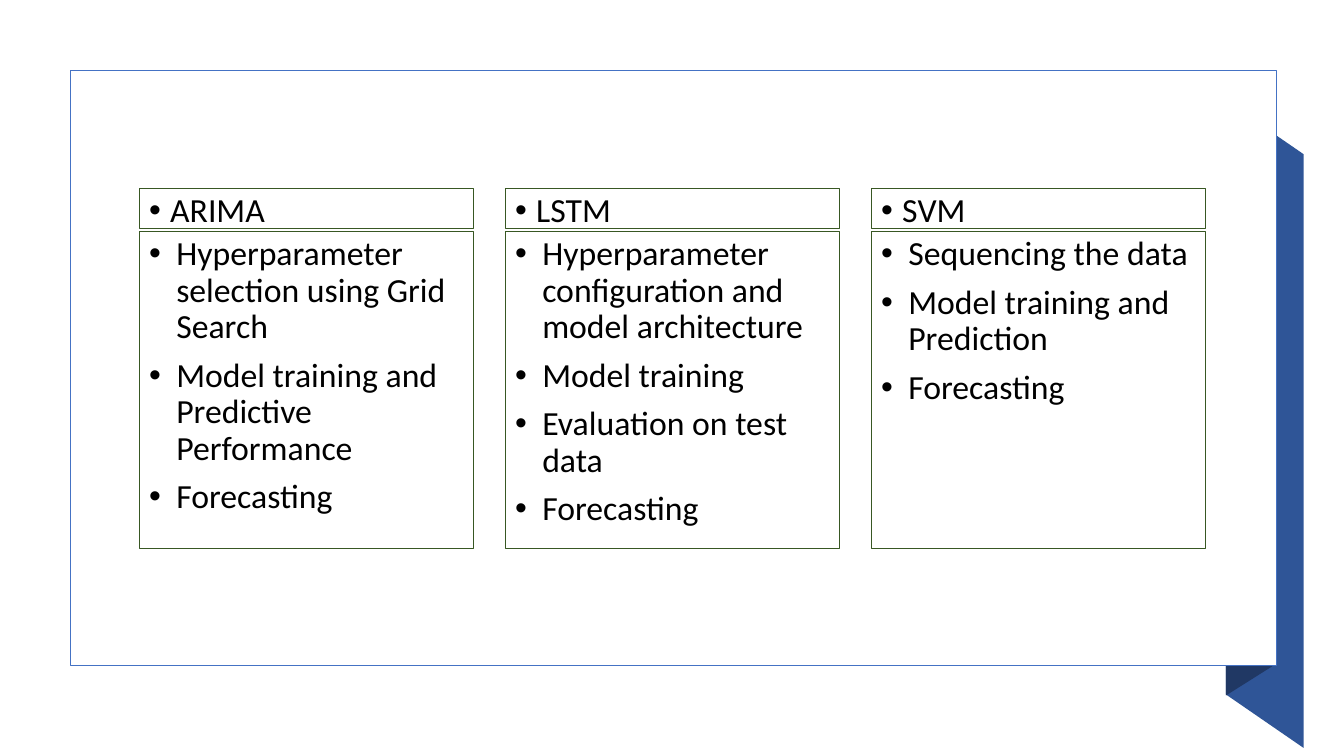
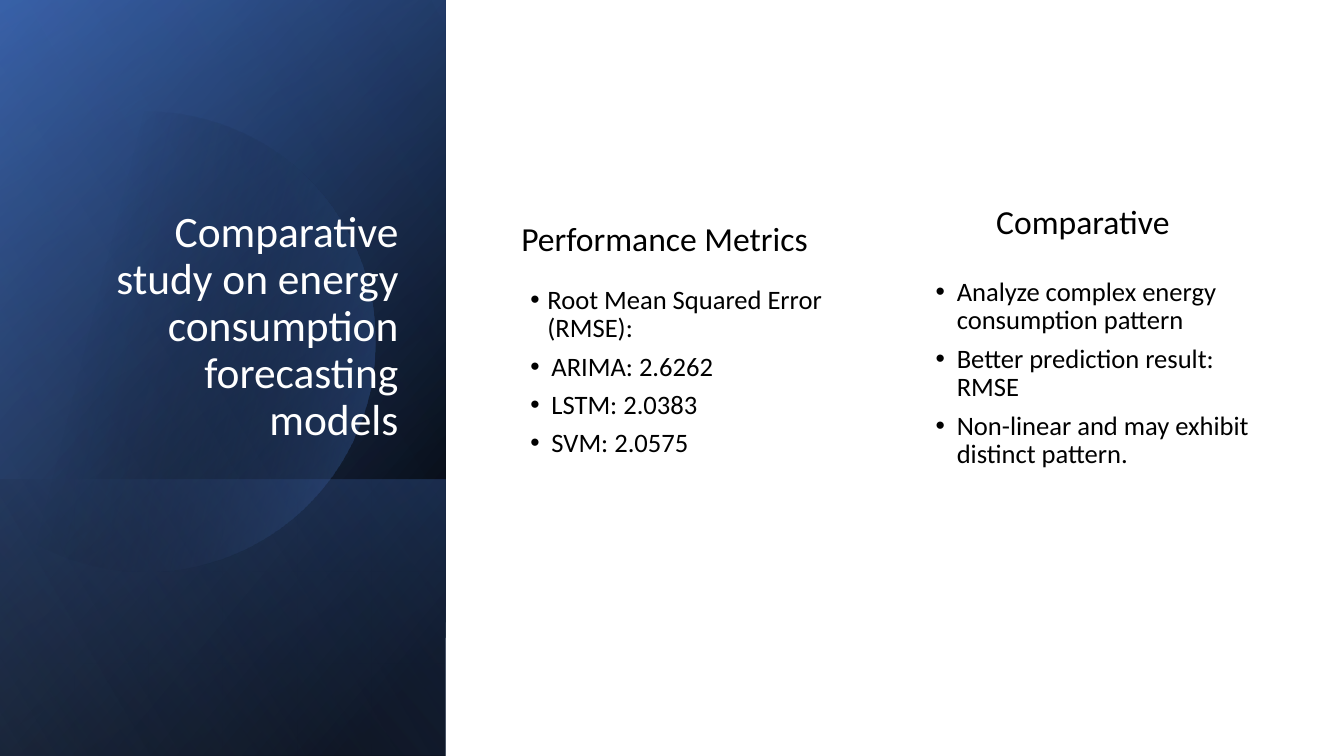
import math

from lxml import etree
from pptx import Presentation
from pptx import util as u
from pptx.dml.color import RGBColor
from pptx.enum import shapes, text
from pptx.oxml.ns import qn

THEME = {
    "font": "Calibri",
    "black": "000000", "white": "FFFFFF",
    "blue": "4472C4", "ribbon": "2F5597", "fold": "203864",
    "pale": "8FAADC", "green": "385723",
    "title": 31, "heading": 24, "body": 19, "card": 24.1,
}
WIDTH, HEIGHT = 13.33, 7.5

MODELS = [
    ("ARIMA", ["Hyperparameter selection using Grid Search",
               "Model training and Predictive Performance",
               "Forecasting"]),
    ("LSTM", ["Hyperparameter configuration and model architecture",
              "Model training",
              "Evaluation on test data",
              "Forecasting"]),
    ("SVM", ["Sequencing the data",
             "Model training and Prediction",
             "Forecasting"]),
]
STUDY_TITLE = "Comparative study on energy consumption forecasting models"
# heading, its box, items, their box, indent of each item
STUDY_COLUMNS = [
    ("Performance Metrics", (5.07, 2.16, 3.67, 0.61),
     ["Root Mean Squared Error (RMSE):", "ARIMA: 2.6262", "LSTM: 2.0383", "SVM: 2.0575"],
     (5.16, 2.79, 3.48, 2.5), [0.17, 0.21, 0.21, 0.21]),
    ("Comparative", (9.78, 1.99, 2.12, 0.49),
     ["Analyze complex energy consumption pattern", "Better prediction result: RMSE",
      "Non-linear and may exhibit distinct pattern."],
     (9.18, 2.71, 3.48, 2.5), [0.21] * 3),
]

CARD_LEFT, CARD_TOP, CARD_WIDTH, CARD_STEP = 1.38, 1.87, 3.32, 3.63
HEAD_HEIGHT, LIST_HEIGHT, CARD_GAP = 0.4, 3.14, 0.03

PANEL_WIDTH = 4.42
# top, height, angle, then stops of (position, colour, opacity) in percent
PANEL_BASE = [
    (0, HEIGHT, 50, [(8, "black", 100), (100, "ribbon", 100)]),
    (0, HEIGHT, 30, [(0, "black", 0), (99, "blue", 46)]),
    (4.76, HEIGHT - 4.76, 130, [(2, "blue", 29), (100, "black", 30)]),
]
PANEL_GLAZE = (0, HEIGHT, 120, [(0, "black", 0), (99, "pale", 11)])
DISC_X, DISC_Y, DISC_RADIUS = 1.44, 3.39, 2.28
DISC_STOPS = [(29, "black", 0), (100, "blue", 43)]


def color(name):
    return RGBColor.from_string(THEME[name])


def place(shape, box):
    shape.left, shape.top, shape.width, shape.height = map(u.Inches, box)


def paint(shape, fill=None, line=None, weight=1):
    shape.shadow.inherit = False
    if fill:
        shape.fill.solid()
        shape.fill.fore_color.rgb = color(fill)
    else:
        shape.fill.background()
    if line:
        shape.line.color.rgb = color(line)
        shape.line.width = u.Pt(weight)
    else:
        shape.line.fill.background()


def shade(shape, angle, stops):
    """Give a linear gradient; the angle runs clockwise."""
    paint(shape)
    shape.fill.gradient()
    shape.fill.gradient_angle = 360 - angle
    for stop, (position, name, _) in zip(shape.fill.gradient_stops, stops):
        stop.position = position / 100
        stop.color.rgb = color(name)
    marks = shape.element.spPr.find(qn("a:gradFill")).iter(qn("a:srgbClr"))
    for mark, (_, _, opacity) in zip(marks, stops):
        if opacity < 100:
            etree.SubElement(mark, qn("a:alpha"), val=str(opacity * 1000))


def rectangle(page, box):
    return page.shapes.add_shape(shapes.MSO_SHAPE.RECTANGLE, *map(u.Inches, box))


def polygon(page, points):
    start, *rest = [(u.Inches(x), u.Inches(y)) for x, y in points]
    builder = page.shapes.build_freeform(*start)
    builder.add_line_segments(rest, close=True)
    return builder.convert_to_shape()


def write(shape, lines, size, name="black", indents=None, before=0,
          align=text.PP_ALIGN.LEFT, anchor=text.MSO_ANCHOR.TOP):
    """Fill a shape with paragraphs, bulleted where indents are given."""
    frame = shape.text_frame
    frame.word_wrap = True
    frame.auto_size = text.MSO_AUTO_SIZE.NONE
    frame.vertical_anchor = anchor
    frame.margin_left = frame.margin_right = u.Inches(0.1)
    frame.margin_top = frame.margin_bottom = u.Inches(0.05)
    for number, line in enumerate(lines):
        para = frame.add_paragraph() if number else frame.paragraphs[0]
        para.add_run().text = line
        para.alignment = align
        para.line_spacing = 0.9
        para.space_before = u.Pt(before if number else 0)
        para.space_after = u.Pt(0)
        if indents:
            indent = u.Inches(indents[number])
            props = para._p.get_or_add_pPr()
            props.set("marL", str(indent))
            props.set("indent", str(-indent))
            etree.SubElement(props, qn("a:buFont"), typeface="Arial")
            etree.SubElement(props, qn("a:buChar"), char="•")
        para.font.name = THEME["font"]
        para.font.size = u.Pt(size)
        para.font.bold = False
        para.font.color.rgb = color(name)


def models_page(deck):
    page = deck.slides.add_slide(deck.slide_layouts[6])
    paint(polygon(page, [(12.93, 7.42), (12.16, 6.89), (12.16, 1), (12.93, 1.53)]), "ribbon")
    paint(polygon(page, [(12.62, 6.61), (12.16, 6.9), (12.16, 1), (12.62, 0.7)]), "fold")
    paint(rectangle(page, (0.7, 0.7, 11.96, 5.9)), "white", "blue")
    list_top = CARD_TOP + HEAD_HEIGHT + CARD_GAP
    for column, (model, steps) in enumerate(MODELS):
        left = CARD_LEFT + column * CARD_STEP
        parts = [([model], CARD_TOP, HEAD_HEIGHT, 0.21), (steps, list_top, LIST_HEIGHT, 0.27)]
        for lines, top, height, indent in parts:
            card = rectangle(page, (left, top, CARD_WIDTH, height))
            paint(card, line="green", weight=0.75)
            write(card, lines, THEME["card"], indents=[indent] * len(lines), before=8.6)


def panel_layer(page, top, height, angle, stops):
    """Add a mirrored rectangle, turned a quarter, that fills the panel's width."""
    left = (PANEL_WIDTH - height) / 2
    layer = rectangle(page, (left, top - left, height, PANEL_WIDTH))
    layer.rotation = 90
    layer.element.spPr.find(qn("a:xfrm")).set("flipH", "1")
    shade(layer, angle, stops)


def draw_panel(page):
    for layer in PANEL_BASE:
        panel_layer(page, *layer)
    # The disc is cut where it meets the slide's left edge.
    reach, count = math.acos(-DISC_X / DISC_RADIUS), 90
    turns = [reach * (2 * step / count - 1) for step in range(count + 1)]
    disc = polygon(page, [(DISC_X + DISC_RADIUS * math.cos(turn),
                           DISC_Y + DISC_RADIUS * math.sin(turn)) for turn in turns])
    shade(disc, 14, DISC_STOPS)
    panel_layer(page, *PANEL_GLAZE)


def study_page(deck):
    page = deck.slides.add_slide(deck.slide_layouts[4])
    holders = list(page.placeholders)
    draw_panel(page)
    for holder in holders:  # bring the text in front of the panel
        page.shapes._spTree.append(holder._element)
    title, *bodies = holders
    place(title, (0.64, 1.84, 3.41, 2.62))
    write(title, [STUDY_TITLE], THEME["title"], "white",
          align=text.PP_ALIGN.RIGHT, anchor=text.MSO_ANCHOR.BOTTOM)
    pairs = zip(bodies[::2], bodies[1::2], STUDY_COLUMNS)
    for head, body, (heading, head_box, items, body_box, indents) in pairs:
        place(head, head_box)
        write(head, [heading], THEME["heading"])
        place(body, body_box)
        write(body, items, THEME["body"], indents=indents, before=6.8)


def main():
    deck = Presentation()
    deck.slide_width, deck.slide_height = u.Inches(WIDTH), u.Inches(HEIGHT)
    models_page(deck)
    study_page(deck)
    deck.save("out.pptx")


if __name__ == "__main__":
    main()
